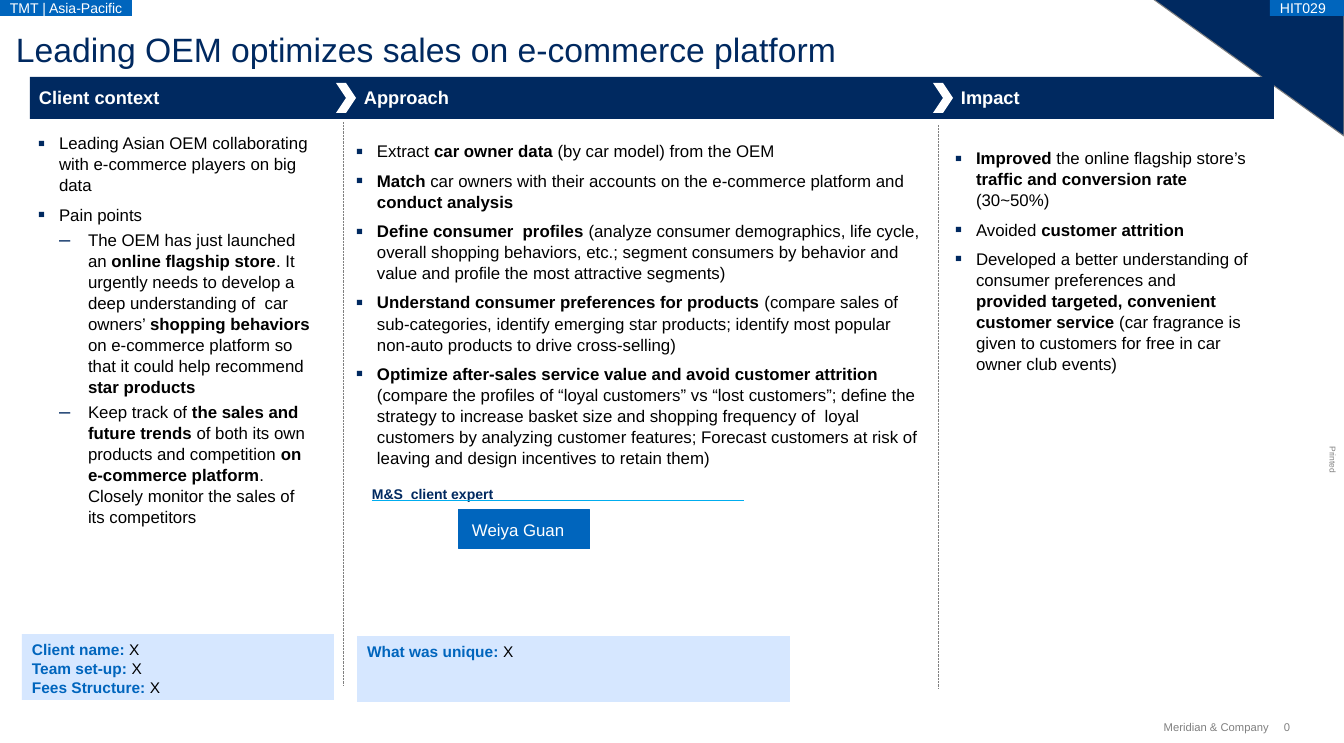
from lxml.etree import SubElement
from pptx import Presentation
from pptx.dml.color import RGBColor
from pptx.enum.dml import MSO_LINE_DASH_STYLE as Dash
from pptx.enum.shapes import MSO_CONNECTOR as Connector, MSO_SHAPE as Shape
from pptx.enum.text import MSO_ANCHOR as Anchor, PP_ALIGN as Align
from pptx.oxml.ns import qn
from pptx.util import Pt

NAVY = RGBColor(0x00, 0x29, 0x60)
BLUE = RGBColor(0x00, 0x65, 0xBD)
CYAN = RGBColor(0x00, 0xAD, 0xEF)
PALE = RGBColor(0xD6, 0xE7, 0xFF)
GREY = RGBColor(0x80, 0x80, 0x80)
BLACK = RGBColor(0x00, 0x00, 0x00)
WHITE = RGBColor(0xFF, 0xFF, 0xFF)

PX = 9048
SLIDE_SIZE = (1344, 743)
FONT = "Arial"
BOLD_MARK = "**"
BULLETS = {
    1: dict(char="▪", size=125, left=21, hang=21, before=6),
    2: dict(char="–", size=120, left=50, hang=29, before=3),
}

TITLE = "Leading OEM optimizes sales on e-commerce platform"
TAGS = [("TMT | Asia-Pacific", 0, 132), ("HIT029", 1270, 74)]
HEADINGS = [("Client context", 39, 294), ("Approach", 364, 353), ("Impact", 961, 312)]
CHEVRONS = [336, 933]
DIVIDERS = [(343, 122, 685), (938, 125, 688)]

COLUMNS = [
    ((38, 132, 274, 388), [
        (1, "Leading Asian OEM collaborating with e-commerce players on big data"),
        (1, "Pain points"),
        (2, "The OEM has just launched an **online flagship store**. It urgently needs to "
            "develop a deep understanding of  car owners’ **shopping behaviors **on e-commerce "
            "platform so that it could help recommend **star products**"),
        (2, "Keep track of **the sales and future trends** of both its own products and "
            "competition **on e-commerce platform**. Closely monitor the sales of its competitors"),
    ]),
    ((356, 140, 564, 326), [
        (1, "Extract **car owner data** (by car model) from the OEM"),
        (1, "**Match** car owners with their accounts on the e-commerce platform and "
            "**conduct analysis**"),
        (1, "**Define consumer  profiles **(analyze consumer demographics, life cycle, overall "
            "shopping behaviors, etc.; segment consumers by behavior and value and profile the "
            "most attractive segments)"),
        (1, "**Understand consumer preferences for products **(compare sales of sub-categories, "
            "identify emerging star products; identify most popular non-auto products to drive "
            "cross-selling)"),
        (1, "**Optimize after-sales service value and avoid customer attrition **(compare the "
            "profiles of “loyal customers” vs “lost customers”; define the strategy to increase "
            "basket size and shopping frequency of  loyal customers by analyzing customer "
            "features; Forecast customers at risk of leaving and design incentives to retain them)"),
    ]),
    ((955, 147, 296, 224), [
        (1, "**Improved **the online flagship store’s **traffic and conversion rate **(30~50%)"),
        (1, "Avoided **customer attrition**"),
        (1, "Developed a better understanding of consumer preferences and **provided targeted, "
            "convenient customer service **(car fragrance is given to customers for free in car "
            "owner club events)"),
    ]),
]
FACTS = [
    ((22, 634, 312, 66), ["**Client name: **X", "**Team set-up: **X", "**Fees Structure: **X"]),
    ((357, 636, 433, 66), ["**What was unique: **X"]),
]
EXPERT_LABEL = "**M&S  client expert**"
EXPERT = "Weiya Guan"
FOOTER = [("Meridian & Company", 1155, 114, Align.RIGHT), ("0", 1284, 14, Align.LEFT)]

deck = Presentation()
deck.slide_width, deck.slide_height = (side * PX for side in SLIDE_SIZE)
page = deck.slides.add_slide(deck.slide_layouts[6])


def add_block(kind, frame, fill, line=None):
    block = page.shapes.add_shape(kind, *(length * PX for length in frame))
    block.shadow.inherit = False
    block.fill.solid()
    block.fill.fore_color.rgb = fill
    if line is None:
        block.line.fill.background()
    else:
        block.line.color.rgb = line
        block.line.width = Pt(0.75)
    return block


def add_box(frame):
    return page.shapes.add_textbox(*(length * PX for length in frame))


def add_rule(start, end, color, width, dash=None):
    rule = page.shapes.add_connector(Connector.STRAIGHT, *(length * PX for length in start + end))
    SubElement(rule._element.spPr, qn("a:effectLst"))
    rule.line.color.rgb = color
    rule.line.width = Pt(width)
    if dash is not None:
        rule.line.dash_style = dash


def add_bullet(para, level):
    style = BULLETS[level]
    props = para._p.get_or_add_pPr()
    props.set("marL", str(style["left"] * PX))
    props.set("indent", str(-style["hang"] * PX))
    SubElement(SubElement(props, qn("a:buClr")), qn("a:srgbClr"), val=str(NAVY))
    SubElement(props, qn("a:buSzPct"), val=str(style["size"] * 1000))
    SubElement(props, qn("a:buFont"), typeface=FONT)
    SubElement(props, qn("a:buChar"), char=style["char"])


def write(box, lines, size=12, color=BLACK, strong=None, align=Align.LEFT,
          anchor=Anchor.TOP, wrap=True, insets=(0, 0, 0, 0), spacing=1.04):
    frame = box.text_frame
    frame.word_wrap = wrap
    frame.vertical_anchor = anchor
    frame.margin_left, frame.margin_top, frame.margin_right, frame.margin_bottom = (
        inset * PX for inset in insets)
    for index, line in enumerate(lines):
        level, text = line if isinstance(line, tuple) else (0, line)
        para = frame.add_paragraph() if index else frame.paragraphs[0]
        if level:
            add_bullet(para, level)
            if index:
                para.space_before = Pt(BULLETS[level]["before"])
        para.alignment = align
        para.line_spacing = spacing
        for part, piece in enumerate(text.split(BOLD_MARK)):
            if not piece:
                continue
            bold = part % 2 == 1
            span = para.add_run()
            span.text = piece
            span.font.name = FONT
            span.font.size = Pt(size)
            span.font.bold = bold
            span.font.color.rgb = strong if bold and strong is not None else color


printed = add_box((1320, 455, 27, 10))
printed.rotation = 90
write(printed, ["Printed"], size=6, color=GREY, wrap=False)
for text, left, width, align in FOOTER:
    write(add_box((left, 720, width, 13)), [text], size=8, color=GREY, align=align,
          anchor=Anchor.MIDDLE)

corner = add_block(Shape.RIGHT_TRIANGLE, (1153, -1, 191, 137), NAVY, GREY)
corner.rotation = 180
write(add_box((16, 27, 953, 38)), [TITLE], size=24, color=NAVY)

for frame, lines in COLUMNS:
    write(add_box(frame), lines)

write(add_box((372, 485, 231, 17)), [EXPERT_LABEL], size=10, color=NAVY, anchor=Anchor.MIDDLE)
add_rule((372, 501), (744, 501), CYAN, 0.75)
write(add_block(Shape.RECTANGLE, (459, 510, 131, 39), BLUE, BLUE), [EXPERT], color=WHITE,
      anchor=Anchor.MIDDLE, insets=(13, 0, 0, 0))

for text, left, width in TAGS:
    write(add_block(Shape.RECTANGLE, (left, 0, width, 16), BLUE), [text], size=10, color=WHITE,
          anchor=Anchor.MIDDLE, wrap=False, insets=(10, 0, 10, 0))

add_block(Shape.RECTANGLE, (30, 77, 1244, 42), NAVY)
for text, left, width in HEADINGS:
    write(add_box((left, 86, width, 24)), [BOLD_MARK + text + BOLD_MARK], size=13, color=WHITE,
          anchor=Anchor.BOTTOM, insets=(0, 0, 0, 2))
for left in CHEVRONS:
    add_block(Shape.CHEVRON, (left, 83, 20, 30), WHITE)
for left, top, bottom in DIVIDERS:
    add_rule((left, top), (left, bottom), GREY, 0.5, Dash.ROUND_DOT)

for frame, lines in FACTS:
    write(add_block(Shape.RECTANGLE, frame, PALE), lines, size=11, strong=BLUE,
          insets=(10, 5, 10, 5))

deck.save("out.pptx")
